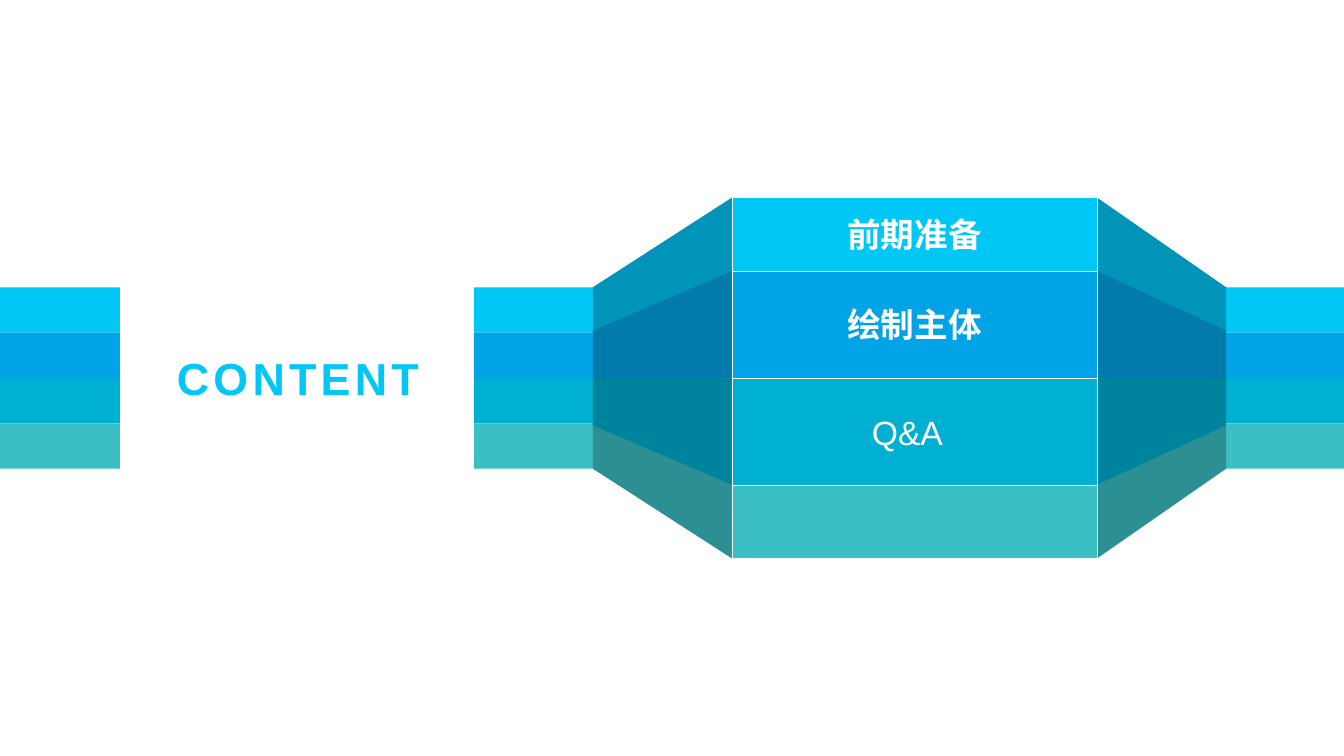
from pptx import Presentation
from pptx.dml.color import RGBColor
from pptx.enum.shapes import MSO_SHAPE
from pptx.enum.text import MSO_ANCHOR, MSO_AUTO_SIZE, PP_ALIGN
from pptx.util import Inches, Pt

W, H = 13.33, 7.5
MID = H / 2
BAND = 0.45               # height of one ribbon stripe
INNER, OUTER = 1.06, 1.79  # half heights of the panel: middle rows, all rows
PANEL_X, PANEL_W = 7.26, 3.62
COLORS = {
    "cyan": "00C7F6", "blue": "00A4E6", "teal": "00B0D3", "green": "3ABFC4",
    "cyan_dark": "0095B8", "blue_dark": "007BAC",
    "teal_dark": "00849E", "green_dark": "2C8F93", "white": "FFFFFF",
}
STRIPES = ["cyan", "blue", "teal", "green"]


def rgb(name):
    return RGBColor.from_string(COLORS[name])


def paint(sp, color, line=None):
    sp.shadow.inherit = False
    sp.fill.solid()
    sp.fill.fore_color.rgb = rgb(color)
    if line:
        sp.line.color.rgb = rgb(line)
        sp.line.width = Pt(0.25)
    else:
        sp.line.fill.background()


def add_rect(s, x, y, w, h, color, line=None):
    sp = s.shapes.add_shape(MSO_SHAPE.RECTANGLE,
                            Inches(x), Inches(y), Inches(w), Inches(h))
    paint(sp, color, line)
    return sp


def add_text(tf, text, size, color, bold, align):
    p = tf.paragraphs[0]
    p.alignment = align
    r = p.add_run()
    r.text = text
    r.font.name = "Arial"
    r.font.size = Pt(size)
    r.font.bold = bold
    r.font.color.rgb = rgb(color)
    return r


def add_ribbon(s, x, w):
    """Four equal stripes centred on the slide's middle line."""
    for i, color in enumerate(STRIPES):
        add_rect(s, x, MID + (i - 2) * BAND, w, BAND, color)


def add_wing(s, x_ribbon, x_panel):
    """Shaded facets that widen from the ribbon to the panel."""
    facets = [(-1, 0.9, OUTER, "cyan_dark"), (1, 0.9, OUTER, "green_dark"),
              (-1, 0.47, INNER, "blue_dark"), (1, 0.47, INNER, "teal_dark")]
    for side, near, far, color in facets:
        points = [(x_ribbon, MID), (x_ribbon, MID + side * near),
                  (x_panel, MID + side * far), (x_panel, MID)]
        points = [(Inches(x), Inches(y)) for x, y in points]
        fb = s.shapes.build_freeform(*points[0])
        fb.add_line_segments(points[1:], close=True)
        paint(fb.convert_to_shape(), color)


def add_panel(s, x, w):
    """Agenda rows, with the last topic in its own text box."""
    edges = [MID + d for d in (-OUTER, -INNER, 0, INNER, OUTER)]
    topics = ["前期准备", "绘制主体", None, None]
    for top, bottom, color, topic in zip(edges, edges[1:], STRIPES, topics):
        sp = add_rect(s, x, top, w, bottom - top, color, "white")
        if topic:
            tf = sp.text_frame
            tf.word_wrap = False
            tf.vertical_anchor = MSO_ANCHOR.MIDDLE
            add_text(tf, topic, 24, "white", True, PP_ALIGN.CENTER)
    tb = s.shapes.add_textbox(Inches(x + 1.29), Inches(MID + 0.29),
                              Inches(1.06), Inches(0.5))
    tb.text_frame.word_wrap = True
    add_text(tb.text_frame, "Q&A", 24, "white", False, PP_ALIGN.LEFT)


def add_title(s, x, w):
    title = s.shapes.title
    title.left, title.top = Inches(x), Inches(MID - 2 * BAND)
    title.width, title.height = Inches(w), Inches(4 * BAND)
    tf = title.text_frame
    tf.auto_size = MSO_AUTO_SIZE.NONE
    tf.word_wrap = False
    tf.vertical_anchor = MSO_ANCHOR.MIDDLE
    r = add_text(tf, "CONTENT", 32, "cyan", True, PP_ALIGN.CENTER)
    r.font._element.set("spc", "300")  # letter spacing, 3 pt


def main():
    prs = Presentation()
    prs.slide_width, prs.slide_height = Inches(W), Inches(H)
    s = prs.slides.add_slide(prs.slide_layouts[5])
    # Ribbon pieces: left edge, before the panel, right edge
    for x, w in [(0, 1.19), (4.7, 1.18), (W - 1.19, 1.19)]:
        add_ribbon(s, x, w)
    # Wings on both sides of the panel
    add_wing(s, 5.88, PANEL_X)
    add_wing(s, 12.16, PANEL_X + PANEL_W)
    add_panel(s, PANEL_X, PANEL_W)
    add_title(s, 1.22, 3.47)
    prs.save("out.pptx")


if __name__ == "__main__":
    main()
